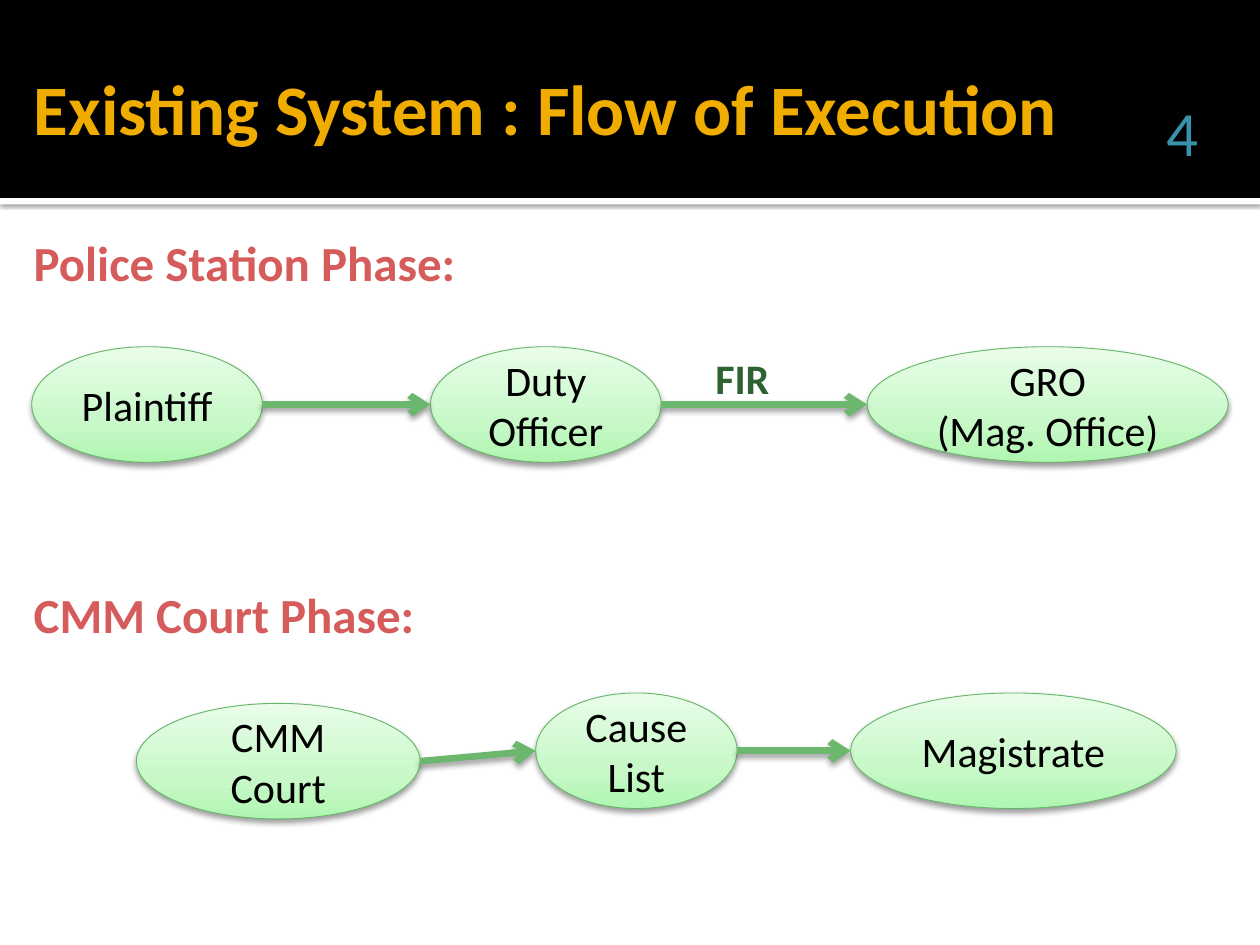
from copy import deepcopy

from lxml.etree import SubElement
from pptx import Presentation
from pptx.dml.color import RGBColor
from pptx.enum.shapes import MSO_CONNECTOR as Line, MSO_SHAPE as Shape
from pptx.enum.text import MSO_ANCHOR as Anchor, PP_ALIGN as Align
from pptx.oxml.ns import qn
from pptx.util import Cm, Pt

BLACK = RGBColor(0x00, 0x00, 0x00)
WHITE = RGBColor(0xFF, 0xFF, 0xFF)
GOLD = RGBColor(0xF0, 0xAD, 0x00)
RED = RGBColor(0xD5, 0x5C, 0x5B)
TEAL = RGBColor(0x37, 0x92, 0xAA)
DARK_GREEN = RGBColor(0x2F, 0x62, 0x31)
OUTLINE_GREEN = RGBColor(0x67, 0xB5, 0x69)
ARROW_GREEN = RGBColor(0x6B, 0xB7, 0x6D)
NODE_STOPS = [
    (0, RGBColor(0xB0, 0xF6, 0xB1)),
    (0.35, RGBColor(0xC8, 0xF8, 0xC8)),
    (1, RGBColor(0xE9, 0xFD, 0xE9)),
]
NODE_HEIGHT = Cm(2.33)


def add_shadow(shape, opacity, blur, distance):
    """Cast a black shadow straight down; call after fill and line are set."""
    effects = SubElement(shape._element.spPr, qn("a:effectLst"))
    shadow = SubElement(effects, qn("a:outerShdw"), blurRad=str(Pt(blur)),
                        dist=str(Pt(distance)), dir="5400000",
                        algn="ctr", rotWithShape="0")
    color = SubElement(shadow, qn("a:srgbClr"), val=str(BLACK))
    SubElement(color, qn("a:alpha"), val=str(opacity * 1000))


def write(frame, text, size, color, bold=False, align=Align.LEFT):
    frame.text = text
    for paragraph in frame.paragraphs:
        paragraph.alignment = align
        font = paragraph.font
        font.name, font.size, font.bold = "Calibri", Pt(size), bold
        font.color.rgb = color


prs = Presentation()
prs.slide_width, prs.slide_height = Cm(25.4), Cm(19.05)
slide = prs.slides.add_slide(prs.slide_layouts[5])
shapes = slide.shapes

# Header
rule = shapes.add_shape(Shape.RECTANGLE, 0, Cm(3.99), prs.slide_width, Cm(0.13))
banner = shapes.add_shape(Shape.RECTANGLE, 0, 0, prs.slide_width, Cm(3.99))
for band, color in ((rule, WHITE), (banner, BLACK)):
    band.fill.solid()
    band.fill.fore_color.rgb = color
    band.line.fill.background()
banner.shadow.inherit = False
add_shadow(rule, 60, 2.5, 0.8)

title = shapes.title
shapes._spTree.append(title._element)  # bring in front of the banner
title.left, title.top, title.width, title.height = Cm(0.43), Cm(0.43), Cm(22.86), Cm(3.48)
title.text_frame.vertical_anchor = Anchor.MIDDLE
title.text_frame.margin_right = Cm(0.13)
write(title.text_frame, "Existing System : Flow of Execution", 40.5, GOLD, bold=True)

page_number = shapes.add_textbox(Cm(23.06), Cm(2.24), Cm(1.35), Cm(1.17)).text_frame
page_number.word_wrap = True
page_number.vertical_anchor = Anchor.BOTTOM
page_number.margin_bottom = 0
write(page_number, "4", 36, TEAL, align=Align.RIGHT)

# Phases: heading, its top, and nodes as (text, left, top, width)
phases = [
    ("Police Station Phase:", 4.57, [
        ("Plaintiff", 0.64, 6.99, 4.65),
        ("Duty Officer", 8.68, 6.99, 4.65),
        ("GRO\n(Mag. Office)", 17.48, 6.99, 7.28),
    ]),
    ("CMM Court Phase:", 11.66, [
        ("CMM Court", 2.75, 14.18, 5.72),
        ("Cause List", 10.8, 13.97, 4.06),
        ("Magistrate", 17.15, 13.97, 6.56),
    ]),
]
for heading, heading_top, nodes in phases:
    heading_box = shapes.add_textbox(Cm(0.43), Cm(heading_top), Cm(9.55), Cm(1.45))
    write(heading_box.text_frame, heading, 28, RED, bold=True)

    ovals = []
    for label, left, top, width in nodes:
        oval = shapes.add_shape(Shape.OVAL, Cm(left), Cm(top), Cm(width), NODE_HEIGHT)
        oval.fill.gradient()
        oval.fill.gradient_angle = 90
        stop_list = oval._element.spPr.find(".//" + qn("a:gsLst"))
        stop_list.insert(1, deepcopy(stop_list[0]))
        for stop, (position, color) in zip(oval.fill.gradient_stops, NODE_STOPS):
            stop.position = position
            stop.color.rgb = color
        oval.line.color.rgb = OUTLINE_GREEN
        oval.line.width = Pt(0.5)
        add_shadow(oval, 38, 3.5, 2)
        oval.text_frame.vertical_anchor = Anchor.MIDDLE
        write(oval.text_frame, label, 24, BLACK, align=Align.CENTER)
        ovals.append(oval)

    for source, target in zip(ovals, ovals[1:]):
        arrow = shapes.add_connector(
            Line.STRAIGHT,
            source.left + source.width, source.top + NODE_HEIGHT // 2,
            target.left, target.top + NODE_HEIGHT // 2)
        arrow.line.color.rgb = ARROW_GREEN
        arrow.line.width = Pt(3.8)
        SubElement(arrow._element.spPr.find(qn("a:ln")), qn("a:tailEnd"), type="arrow")
        add_shadow(arrow, 38, 3.5, 2)

arrow_label = shapes.add_textbox(Cm(14.17), Cm(6.99), Cm(1.73), Cm(1.27))
write(arrow_label.text_frame, "FIR", 24, DARK_GREEN, bold=True)

prs.save("out.pptx")
